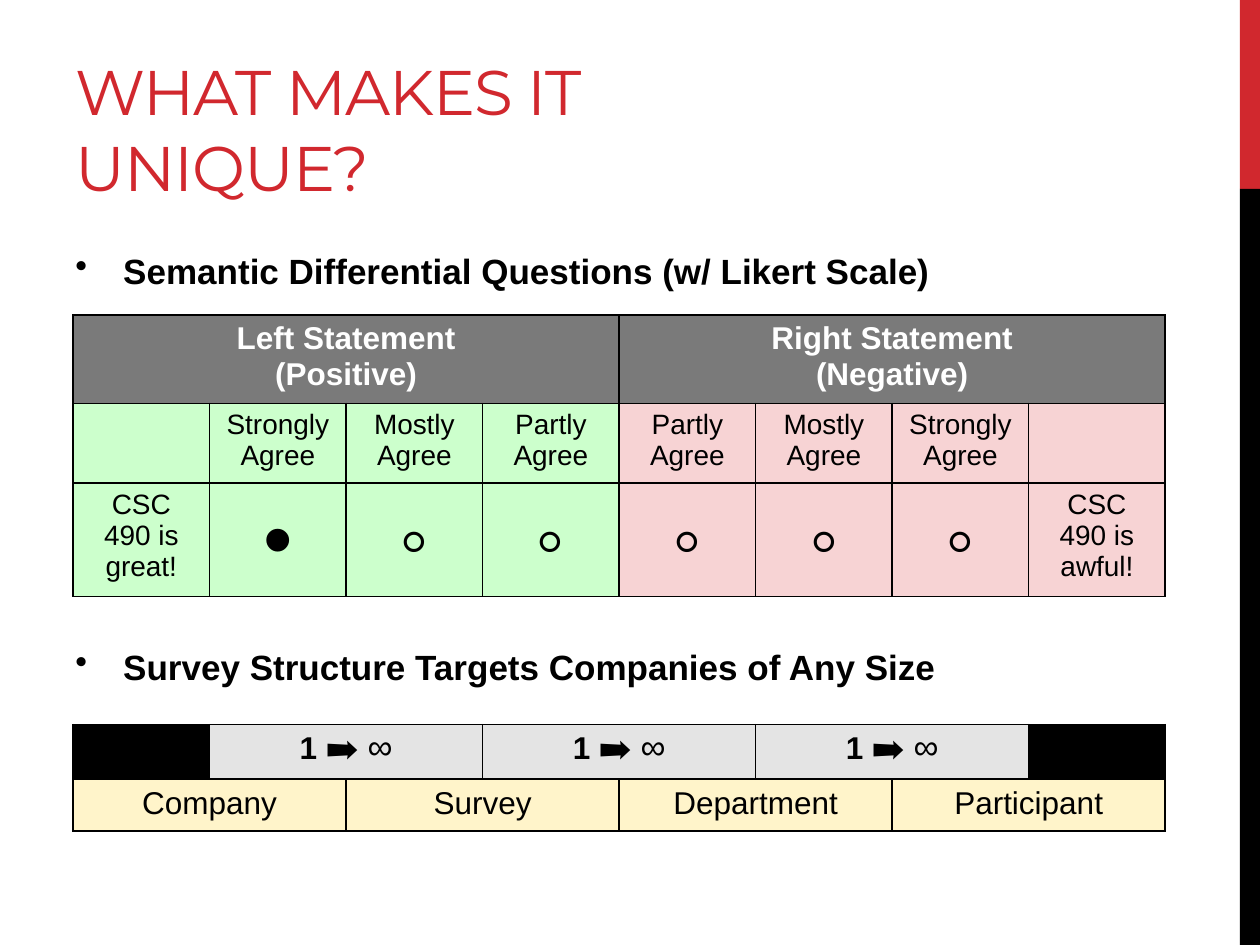
import pptx
import pptx.dml.color
import pptx.enum.shapes
import pptx.enum.text
import pptx.oxml
import pptx.oxml.ns
import pptx.util
from pptx.dml.color import RGBColor
from pptx.util import Inches

RED = RGBColor(0xD1, 0x28, 0x2E)
BLACK = RGBColor(0x00, 0x00, 0x00)
WHITE = RGBColor(0xFF, 0xFF, 0xFF)
HEADER_GRAY = RGBColor(0x7A, 0x7A, 0x7A)
POSITIVE_GREEN = RGBColor(0xCC, 0xFF, 0xCC)
NEGATIVE_PINK = RGBColor(0xF7, 0xD3, 0xD4)
RANGE_GRAY = RGBColor(0xE4, 0xE4, 0xE4)
LEVEL_YELLOW = RGBColor(0xFF, 0xF4, 0xCA)

TABLE_LEFT, TABLE_WIDTH, COLUMNS = 0.58, 8.67, 8
AGREEMENT = ["Strongly Agree", "Mostly Agree", "Partly Agree"]
LEVELS = ["Company", "Survey", "Department", "Participant"]


def set_font(font, size, color=BLACK, bold=False, name="Arial"):
    font.name = name
    font.size = pptx.util.Pt(size)
    font.bold = bold
    font.color.rgb = color


def add_bar(page, top, height, color):
    bar = page.shapes.add_shape(
        pptx.enum.shapes.MSO_SHAPE.RECTANGLE,
        Inches(9.84), Inches(top), Inches(0.16), Inches(height))
    bar.shadow.inherit = False
    bar.fill.solid()
    bar.fill.fore_color.rgb = color
    bar.line.fill.background()


def format_title(page, text):
    title = page.shapes.title
    title.left, title.top = Inches(0.5), Inches(0.17)
    title.width, title.height = Inches(6.33), Inches(1.5)
    frame = title.text_frame
    frame.word_wrap = True
    frame.auto_size = pptx.enum.text.MSO_AUTO_SIZE.NONE
    frame.vertical_anchor = pptx.enum.text.MSO_ANCHOR.BOTTOM
    para = frame.paragraphs[0]
    para.alignment = pptx.enum.text.PP_ALIGN.LEFT
    span = para.add_run()
    span.text = text
    set_font(span.font, 36, RED, name="Montserrat")
    span.font._element.set("spc", "-60")


def add_bullet(page, top, text):
    box = page.shapes.add_textbox(Inches(0.5), Inches(top), Inches(8.33), Inches(0.42))
    box.text_frame.word_wrap = True
    para = box.text_frame.paragraphs[0]
    para.text = text
    set_font(para.font, 20, bold=True)
    # Hanging indent with a round bullet
    properties = para._p.get_or_add_pPr()
    properties.set("marL", str(Inches(0.38)))
    properties.set("indent", str(-Inches(0.38)))
    mark = pptx.oxml.parse_xml(
        f'<a:buChar {pptx.oxml.ns.nsdecls("a")} char="•"/>')
    properties.insert_element_before(mark, "a:tabLst", "a:defRPr", "a:extLst")


def add_borders(cell):
    properties = cell._tc.get_or_add_tcPr()
    for side in ("lnL", "lnR", "lnT", "lnB"):
        properties.append(pptx.oxml.parse_xml(
            f'<a:{side} {pptx.oxml.ns.nsdecls("a")} w="12700">'
            f'<a:solidFill><a:srgbClr val="{BLACK}"/></a:solidFill></a:{side}>'))


def add_grid(page, top, row_heights):
    frame = page.shapes.add_table(
        len(row_heights), COLUMNS, Inches(TABLE_LEFT), Inches(top),
        Inches(TABLE_WIDTH), Inches(sum(row_heights)))
    table = frame.table
    table.first_row = table.horz_banding = False
    for column in table.columns:
        column.width = Inches(TABLE_WIDTH / COLUMNS)
    for row, height in zip(table.rows, row_heights):
        row.height = Inches(height)
    for cell in table.iter_cells():
        add_borders(cell)
    return table


def fill_cell(table, row, column, fill, text="", size=16, color=BLACK,
              bold=False, columns=1, middle=False):
    """Fill and label a cell, merged over the given columns; return its paragraph."""
    cell = table.cell(row, column)
    if columns > 1:
        cell.merge(table.cell(row, column + columns - 1))
    for offset in range(columns):
        part = table.cell(row, column + offset)
        part.fill.solid()
        part.fill.fore_color.rgb = fill
    if middle:
        cell.vertical_anchor = pptx.enum.text.MSO_ANCHOR.MIDDLE
    para = cell.text_frame.paragraphs[0]
    para.alignment = pptx.enum.text.PP_ALIGN.CENTER
    para.text = text
    set_font(para.font, size, color, bold)
    return para


def add_likert_table(page):
    table = add_grid(page, 2.5, [0.66, 0.6, 0.84])
    for column, text in ((0, "Left Statement\n(Positive)"),
                         (4, "Right Statement\n(Negative)")):
        fill_cell(table, 0, column, HEADER_GRAY, text, 18, WHITE, True, columns=4)

    # The scale mirrors itself around the middle
    labels = ["", *AGREEMENT, *reversed(AGREEMENT), ""]
    answers = ["CSC 490 is great!", "•", *["◦"] * 5, "CSC 490 is awful!"]
    for column, (label, answer) in enumerate(zip(labels, answers)):
        fill = POSITIVE_GREEN if column < COLUMNS // 2 else NEGATIVE_PINK
        fill_cell(table, 1, column, fill, label)
        is_mark = len(answer) == 1
        fill_cell(table, 2, column, fill, answer, 48 if is_mark else 16, middle=is_mark)


def add_structure_table(page):
    table = add_grid(page, 5.75, [0.41, 0.41])
    for column in (0, COLUMNS - 1):
        fill_cell(table, 0, column, BLACK)
    # One-to-many ranges straddle neighbouring levels
    for column in (1, 3, 5):
        para = fill_cell(table, 0, column, RANGE_GRAY, columns=2)
        for text, size, bold, name in (("1 ", 18, True, "Arial"),
                                       ("➡ ", 18, False, "Arial"),
                                       ("∞", 20, False, "Arial Narrow")):
            span = para.add_run()
            span.text = text
            set_font(span.font, size, bold=bold, name=name)
    for index, level in enumerate(LEVELS):
        fill_cell(table, 1, index * 2, LEVEL_YELLOW, level, 18, columns=2)


def main():
    deck = pptx.Presentation()
    deck.slide_width, deck.slide_height = Inches(10), Inches(7.5)
    page = deck.slides.add_slide(deck.slide_layouts[5])

    # Side stripe
    add_bar(page, 0, 1.5, RED)
    add_bar(page, 1.5, 6, BLACK)

    # Title and the two topics with their tables
    format_title(page, "WHAT MAKES IT UNIQUE?")
    add_bullet(page, 1.93, "Semantic Differential Questions (w/ Likert Scale)")
    add_likert_table(page)
    add_bullet(page, 5.07, "Survey Structure Targets Companies of Any Size")
    add_structure_table(page)

    deck.save("out.pptx")


if __name__ == "__main__":
    main()
